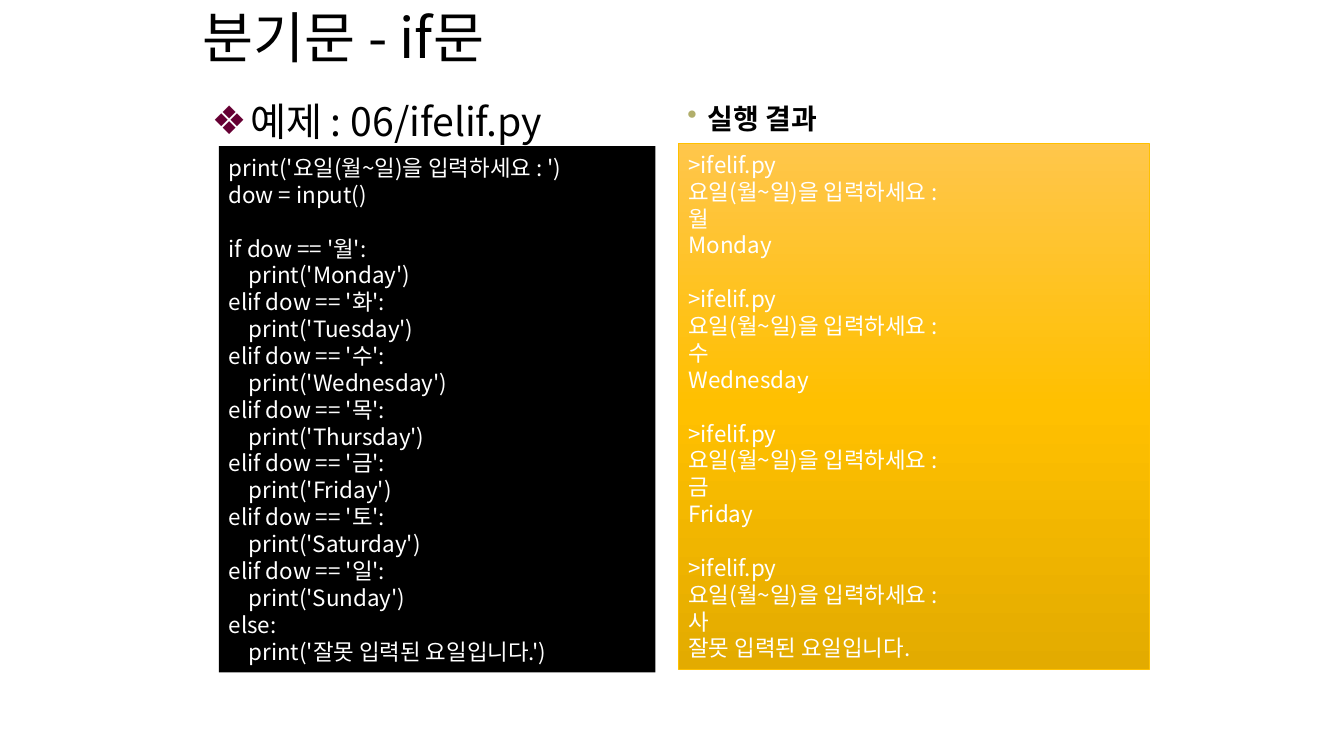
from copy import deepcopy

from pptx import Presentation
from pptx.dml.color import RGBColor
from pptx.enum.shapes import MSO_SHAPE as Shape
from pptx.enum.text import MSO_ANCHOR as Anchor, MSO_AUTO_SIZE as AutoSize, PP_ALIGN as Align
from pptx.oxml.ns import qn
from pptx.util import Inches, Pt

FONT = "Noto Sans CJK KR"
WEEKDAYS = [("월", "Monday"), ("화", "Tuesday"), ("수", "Wednesday"), ("목", "Thursday"),
            ("금", "Friday"), ("토", "Saturday"), ("일", "Sunday")]
ERROR = "잘못 입력된 요일입니다."
PROMPT = "요일(월~일)을 입력하세요 :"
RUNS = [("월", "Monday"), ("수", "Wednesday"), ("금", "Friday"), ("사", ERROR)]
LINE_HEIGHT = Pt(19.2)


def rgb(value):
    return RGBColor.from_string(value)


def place(shape, left, top, width, height):
    shape.left, shape.top = Inches(left), Inches(top)
    shape.width, shape.height = Inches(width), Inches(height)


def add_text(paragraph, text, size, color="000000", bold=False):
    run = paragraph.add_run()
    run.text = text
    font = run.font
    font.size, font.bold, font.name = Pt(size), bold, FONT
    font.color.rgb = rgb(color)
    east_asian = run._r.get_or_add_rPr().makeelement(qn("a:ea"), {"typeface": FONT})
    font._element.find(qn("a:latin")).addnext(east_asian)


def add_bullet(paragraph, char, color, margin, hanging):
    props = paragraph._p.get_or_add_pPr()
    props.set("marL", str(Inches(margin)))
    props.set("indent", str(-Inches(hanging)))
    bullet_color = props.makeelement(qn("a:buClr"), {})
    bullet_color.append(props.makeelement(qn("a:srgbClr"), {"val": color}))
    props.append(bullet_color)
    props.append(props.makeelement(qn("a:buChar"), {"char": char}))


def add_panel(slide, left, top, width, height):
    panel = slide.shapes.add_shape(Shape.RECTANGLE, Inches(left), Inches(top),
                                   Inches(width), Inches(height))
    panel.shadow.inherit = False
    frame = panel.text_frame
    frame.word_wrap = True
    frame.auto_size = AutoSize.SHAPE_TO_FIT_TEXT
    frame.vertical_anchor = Anchor.MIDDLE
    return panel


def write_lines(frame, lines):
    for index, line in enumerate(lines):
        paragraph = frame.add_paragraph() if index else frame.paragraphs[0]
        paragraph.alignment = Align.JUSTIFY
        paragraph.font.size = Pt(16)
        if line:
            add_text(paragraph, line, 16, "FFFFFF")


def fill_gradient(fill, colors):
    """Spread the colours evenly from top to bottom."""
    fill.gradient()
    fill.gradient_angle = 270
    stop_list = fill._xPr.find(qn("a:gradFill")).find(qn("a:gsLst"))
    while len(stop_list) < len(colors):
        stop_list.append(deepcopy(stop_list[0]))
    for index, (stop, color) in enumerate(zip(fill.gradient_stops, colors)):
        stop.position = index / (len(colors) - 1)
        stop.color.rgb = rgb(color)


def add_titles(slide):
    title, example = slide.placeholders
    place(title, 1.91, 0.09, 9.34, 0.63)
    title.text_frame.auto_size = AutoSize.NONE
    title.text_frame.vertical_anchor = Anchor.MIDDLE
    heading = title.text_frame.paragraphs[0]
    heading.alignment = Align.LEFT
    heading.line_spacing = 0.9
    add_text(heading, "분기문 - if문", 39.6)

    place(example, 2, 0.92, 9.5, 6.25)
    example.text_frame.auto_size = AutoSize.NONE
    item = example.text_frame.paragraphs[0]
    item.space_before = Pt(0)
    add_bullet(item, "❖", "660033", 0.38, 0.38)
    add_text(item, "예제 : 06/ifelif.py", 28)


def add_code(slide):
    lines = ["print('요일(월~일)을 입력하세요 : ')", "dow = input()", ""]
    for index, (korean, english) in enumerate(WEEKDAYS):
        keyword = "elif" if index else "if"
        lines += [f"{keyword} dow == '{korean}':", f"    print('{english}')"]
    lines += ["else:", f"    print('{ERROR}')"]
    panel = add_panel(slide, 2.17, 1.45, 4.33, 5.22)
    panel.fill.solid()
    panel.fill.fore_color.rgb = rgb("000000")
    panel.line.fill.background()
    write_lines(panel.text_frame, lines)


def add_output(slide):
    panel = add_panel(slide, 6.73, 1.42, 4.67, 5.22)
    fill_gradient(panel.fill, ["FFC64B", "FFC000", "E3AB00"])
    panel.line.color.rgb = rgb("FFC000")
    panel.line.width = Pt(0.5)
    sessions = [[">ifelif.py", PROMPT, answer, reply] for answer, reply in RUNS]
    write_lines(panel.text_frame, sum(sessions, []))
    for first_line in panel.text_frame.paragraphs[4::4]:
        first_line.space_before = LINE_HEIGHT


def add_output_heading(slide):
    box = slide.shapes.add_textbox(Inches(6.33), Inches(0.92), Inches(4.42), Inches(0.75))
    box.text_frame.word_wrap = True
    heading = box.text_frame.paragraphs[0]
    heading.level = 1
    add_bullet(heading, "•", "B1AE6B", 0.59, 0.2)
    heading.line_spacing = 1.1
    heading.space_after = Pt(3)
    add_text(heading, "실행 결과", 20, bold=True)


def main():
    deck = Presentation()
    deck.slide_width, deck.slide_height = Inches(13.33), Inches(7.5)
    slide = deck.slides.add_slide(deck.slide_layouts[1])
    add_titles(slide)
    add_code(slide)
    add_output(slide)
    add_output_heading(slide)
    deck.save("out.pptx")


if __name__ == "__main__":
    main()
